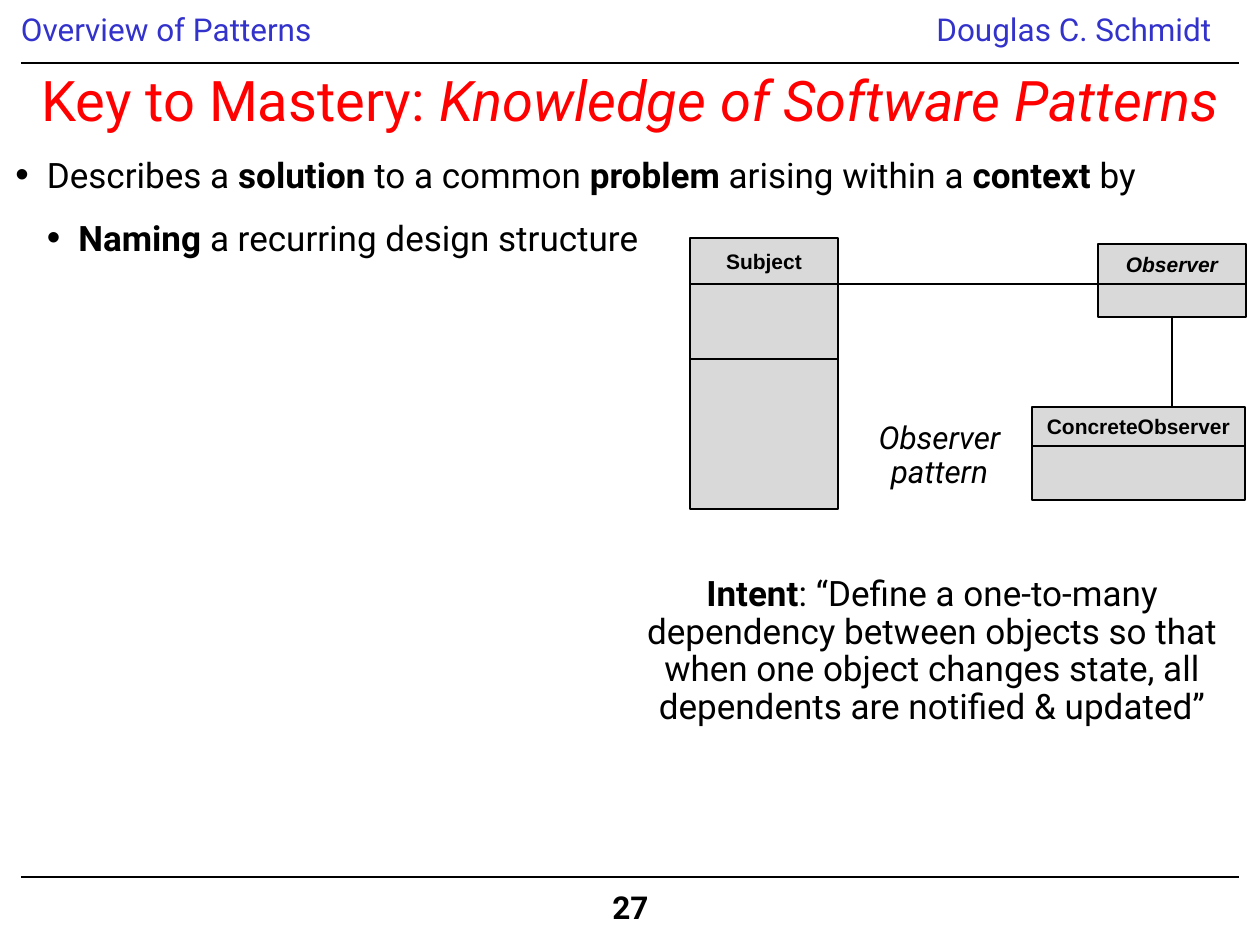
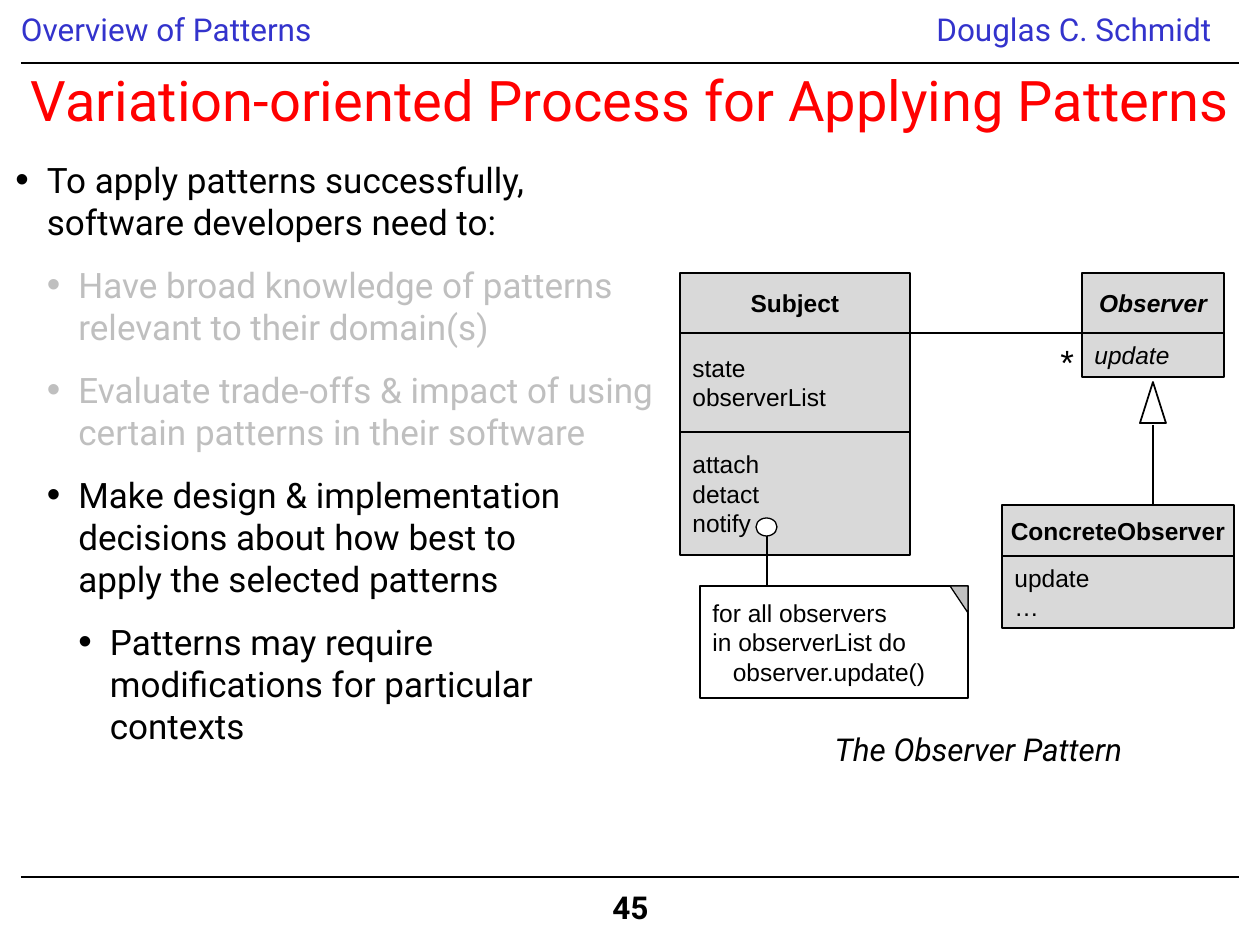
from lxml import etree
from pptx import Presentation
from pptx.dml.color import RGBColor
from pptx.enum.shapes import MSO_CONNECTOR, MSO_SHAPE
from pptx.enum.text import MSO_ANCHOR, PP_ALIGN
from pptx.oxml.ns import qn
from pptx.util import Emu, Pt

SCALE = 914400 / 126
BLACK = RGBColor(0x00, 0x00, 0x00)
WHITE = RGBColor(0xFF, 0xFF, 0xFF)
BLUE = RGBColor(0x33, 0x33, 0xCC)
RED = RGBColor(0xFF, 0x00, 0x00)
PALE = RGBColor(0xD9, 0xD9, 0xD9)
FOLD = RGBColor(0xC0, 0xC0, 0xC0)
FADED = RGBColor(0xBF, 0xBF, 0xBF)

RECT = MSO_SHAPE.RECTANGLE
ROOF = MSO_SHAPE.ISOSCELES_TRIANGLE
RING = MSO_SHAPE.FLOWCHART_CONNECTOR
STRAIGHT = MSO_CONNECTOR.STRAIGHT
LEFT, CENTER = PP_ALIGN.LEFT, PP_ALIGN.CENTER
TOP, MIDDLE = MSO_ANCHOR.TOP, MSO_ANCHOR.MIDDLE

BAND = {"name": "Roboto", "size": Pt(18)}
TITLE = {"name": "Roboto", "size": Pt(32)}
BODY = {"name": "Roboto", "size": Pt(20)}
STAR = {"name": "Arial", "size": Pt(20)}
CODE = {"name": "Arial", "size": Pt(14)}
SMALL = {"name": "Arial", "size": Pt(12)}
BOLD, SLOPE = {"bold": True}, {"italic": True}
TIGHT = {"line_spacing": 0.9}
MID = {"alignment": CENTER}
BOTH = {**TIGHT, **MID}


def px(num):
    """Turn pixels into EMU."""
    return Emu(round(num * SCALE))


def put(item, form):
    """Set each attribute named in a dict of format values."""
    for key, val in form.items():
        setattr(item, key, val)


def fill(para, text, font, color=BLACK, strong=BOLD):
    """Write text into a paragraph, with parts between bars made strong."""
    for turn, piece in enumerate(text.split("|")):
        for row, line in enumerate(piece.split("\n")):
            if row:
                para.add_line_break()
            if line:
                run = para.add_run()
                run.text = line
                put(run.font, {**font, **(strong if turn % 2 else {})})
                run.font.color.rgb = color


def write(frame, text, font, color=BLACK, form=None, anchor=TOP, wrap=True, strong=BOLD):
    """Write one paragraph for each text in a list."""
    put(frame, {"word_wrap": wrap, "vertical_anchor": anchor})
    for row, line in enumerate(text):
        para = frame.add_paragraph() if row else frame.paragraphs[0]
        put(para, form or {"alignment": LEFT})
        fill(para, line, font, color, strong)


def label(slide, box, text, font, **more):
    """Add a text box with one paragraph."""
    frame = slide.shapes.add_textbox(*map(px, box)).text_frame
    write(frame, [text], font, **more)
    return frame


def paint(shape, color, width):
    """Give a shape a flat fill and a black line."""
    shape.shadow.inherit = False
    shape.fill.solid()
    shape.fill.fore_color.rgb = color
    shape.line.color.rgb = BLACK
    shape.line.width = Pt(width)


def block(slide, kind, box, color=PALE, width=1):
    """Add a preset shape."""
    shape = slide.shapes.add_shape(kind, *map(px, box))
    paint(shape, color, width)
    return shape


def rule(slide, ends, width=0.75):
    """Add a straight black line."""
    line = slide.shapes.add_connector(STRAIGHT, *map(px, ends))
    line.line.color.rgb = BLACK
    line.line.width = Pt(width)
    etree.SubElement(line._element.spPr, qn("a:effectLst"))
    return line


def bullets(slide, box, items):
    """Add a bulleted list of level, text and colour."""
    frame = slide.shapes.add_textbox(*map(px, box)).text_frame
    frame.word_wrap = True
    for row, (level, text, color) in enumerate(items):
        para = frame.add_paragraph() if row else frame.paragraphs[0]
        props = para._p.get_or_add_pPr()
        props.set("marL", str(px(31.5 * (level + 1))))
        props.set("indent", str(px(-31.5)))
        for tag, key, val in (("a:buSzPct", "val", "110000"),
                              ("a:buFont", "typeface", "Arial"),
                              ("a:buChar", "char", "•")):
            etree.SubElement(props, qn(tag)).set(key, val)
        put(para, {"level": level, "space_before": Pt(12 if row else 0)})
        fill(para, text, BODY, color)


def uml(slide, box, font, name, rows, slope=False):
    """Stack a class head and its rows of height and members; return the last."""
    left, top, width, high = box
    head = {**font, **BOLD, "italic": slope}
    shape = block(slide, RECT, box)
    write(shape.text_frame, [name], head, form=MID, anchor=MIDDLE, wrap=False)
    for step, text in rows:
        top, high = top + high, step
        shape = block(slide, RECT, (left, top, width, high))
        write(shape.text_frame, text, {**font, "italic": slope}, anchor=MIDDLE)
    return shape


def note(slide, box):
    """Add the folded note with the notify code and its ring."""
    left, top, width, high = box
    rule(slide, (left + 67, top - 59, left + 67, top))
    sheet = block(slide, RECT, box, WHITE, 0.75)
    code = ["for all observers", "in observerList do", "   observer.update()"]
    write(sheet.text_frame, code, CODE, anchor=MIDDLE)
    right = left + width
    pen = slide.shapes.build_freeform(right - 18, top, SCALE)
    pen.add_line_segments([(right, top + 27), (right, top)], close=True)
    paint(pen.convert_to_shape(), FOLD, 0.75)
    block(slide, RING, (left + 56, top - 68, 21, 18), WHITE, 0.75)


def sketch(slide, left, top):
    """Draw the outline of the pattern from its top left corner."""
    label(slide, (left + 160, top + 178, 179, 82), "Observer pattern",
          {**BAND, **SLOPE}, form=BOTH)
    uml(slide, (left, top, 148, 46), SMALL, "Subject", [(75, []), (150, [])])
    base = uml(slide, (left + 408, top + 6, 148, 40), SMALL, "Observer",
               [(33, [])], True)
    uml(slide, (left + 342, top + 169, 213, 39), SMALL, "ConcreteObserver",
        [(54, [])])
    rule(slide, (left + 148, top + 46, left + 408, top + 46))
    stem = rule(slide, (left + 482, top + 79, left + 482, top + 168), 1)
    stem.begin_connect(base, 2)


def detail(slide, left, top):
    """Draw the pattern with its members from its top left corner."""
    uml(slide, (left, top, 230, 60), CODE, "Subject",
        [(99, ["state", "observerList"]), (123, ["attach", "detact", "notify"])])
    uml(slide, (left + 402, top, 142, 60), CODE, "Observer",
        [(44, ["update"])], True)
    uml(slide, (left + 322, top + 232, 232, 51), CODE, "ConcreteObserver",
        [(72, ["update", "…"])])
    rule(slide, (left + 230, top + 60, left + 402, top + 60))
    rule(slide, (left + 473, top + 152, left + 473, top + 231), 1)
    block(slide, ROOF, (left + 460, top + 109, 26, 41), WHITE)
    label(slide, (left + 368, top + 61, 37, 53), "*", STAR, form=MID)
    note(slide, (left + 20, top + 313, 268, 112))
    label(slide, (left + 95, top + 455, 407, 47), "The Observer Pattern",
          {**BAND, **SLOPE}, form=BOTH)


def frame(deck, title, page):
    """Start a slide with its header, rules, title and page number."""
    slide = deck.slides.add_slide(deck.slide_layouts[6])
    topic = label(slide, (21, 8, 746, 47), "Overview of Patterns", BAND,
                  color=BLUE, form=TIGHT)
    put(topic, {"margin_left": 0, "margin_right": 0})
    label(slide, (924, 8, 316, 50), "Douglas C. Schmidt", BAND,
          color=BLUE, form=TIGHT)
    for high in (63, 877):
        rule(slide, (21, high, 1239, high))
    label(slide, (600, 886, 64, 50), page, {**BAND, **BOLD}, form=TIGHT)
    label(slide, (15, 73, 1231, 53), title, TITLE, color=RED, form=MID,
          anchor=MIDDLE, strong=SLOPE)
    return slide


def mastery(deck):
    """Build the slide on knowing patterns."""
    slide = frame(deck, "Key to Mastery: |Knowledge of Software Patterns|", "27")
    bullets(slide, (3, 147, 1251, 684), [
        (0, "Describes a |solution| to a common |problem| arising within a "
            "|context |by", BLACK),
        (1, "|Naming |a recurring design structure", BLACK)])
    aim = label(slide, (595, 570, 643, 165),
                "|Intent|: “Define a one-to-many dependency between objects so "
                "that when one object changes state, all dependents are "
                "notified & updated”", BODY, form=BOTH)
    aim.paragraphs[0]._p.get_or_add_pPr().set("marL", str(px(31.5)))
    sketch(slide, 690, 238)


def process(deck):
    """Build the slide on applying patterns."""
    slide = frame(deck, "Variation-oriented Process for Applying Patterns", "45")
    bullets(slide, (3, 152, 684, 606), [
        (0, "To apply patterns successfully,\nsoftware developers need to:", BLACK),
        (1, "Have broad knowledge of patterns relevant to their domain(s)", FADED),
        (1, "Evaluate trade-offs & impact of using certain patterns in their "
            "software", FADED),
        (1, "Make design & implementation decisions about how best to\n"
            "apply the selected patterns", BLACK),
        (2, "Patterns may require\nmodifications for particular\ncontexts", BLACK)])
    detail(slide, 680, 273)


def main():
    """Build and save the deck."""
    deck = Presentation()
    put(deck, {"slide_width": px(1260), "slide_height": px(945)})
    mastery(deck)
    process(deck)
    deck.save("out.pptx")


if __name__ == "__main__":
    main()
